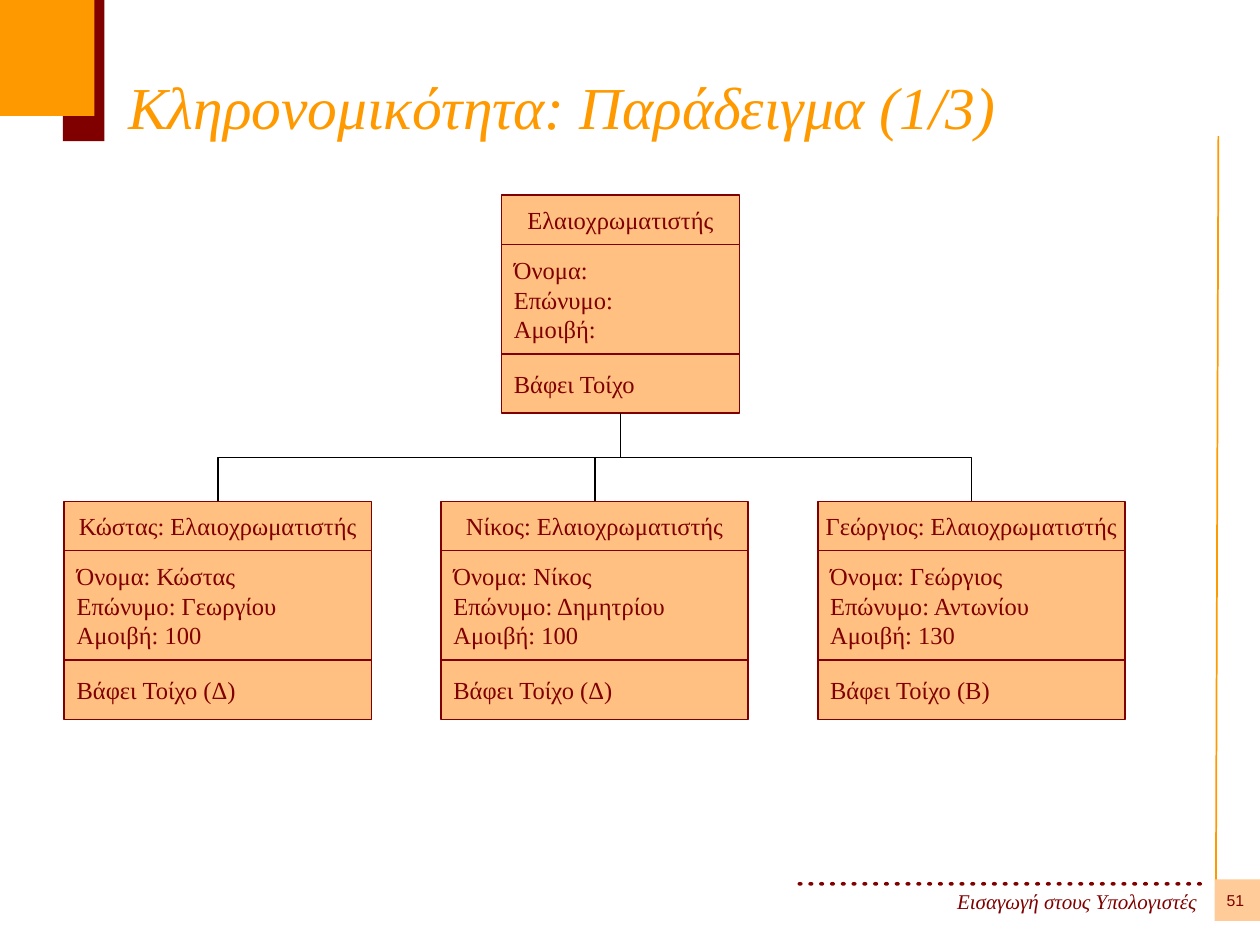
"""Build the inheritance example slide with one class and three objects."""
from itertools import accumulate

from lxml.etree import SubElement
from pptx import Presentation
from pptx.dml.color import RGBColor
from pptx.enum.shapes import MSO_CONNECTOR, MSO_SHAPE
from pptx.enum.text import MSO_ANCHOR, PP_ALIGN
from pptx.oxml.ns import qn
from pptx.util import Inches, Pt

ORANGE = RGBColor(0xFF, 0x99, 0x00)
MAROON = RGBColor(0x80, 0x00, 0x00)
PEACH = RGBColor(0xFF, 0xCC, 0x99)
BOX_FILL = RGBColor(0xFF, 0xC0, 0x81)
BLACK = RGBColor(0, 0, 0)

TITLE = "Κληρονομικότητα: Παράδειγμα (1/3)"
FOOTER = "Εισαγωγή στους Υπολογιστές"
PAGE_NUMBER = "51"
PARENT = ("Ελαιοχρωματιστής", ["Όνομα:", "Επώνυμο:", "Αμοιβή:"], "Βάφει Τοίχο")
CHILDREN = [
    ("Κώστας: Ελαιοχρωματιστής",
     ["Όνομα: Κώστας", "Επώνυμο: Γεωργίου", "Αμοιβή: 100"], "Βάφει Τοίχο (Δ)"),
    ("Νίκος: Ελαιοχρωματιστής",
     ["Όνομα: Νίκος", "Επώνυμο: Δημητρίου", "Αμοιβή: 100"], "Βάφει Τοίχο (Δ)"),
    ("Γεώργιος: Ελαιοχρωματιστής",
     ["Όνομα: Γεώργιος", "Επώνυμο: Αντωνίου", "Αμοιβή: 130"], "Βάφει Τοίχο (Β)"),
]

PARENT_LEFT, PARENT_TOP, PARENT_WIDTH = 3.98, 1.55, 1.89
CHILD_LEFT, CHILD_TOP, CHILD_WIDTH, CHILD_PITCH = 0.51, 3.98, 2.44, 2.99
ROW_HEIGHTS = [0.39, 0.87, 0.47]
DOT_COUNT, DOT_FIRST, DOT_LAST = 38, 6.33, 9.5

BOX_FONT = {"name": "Times New Roman", "size": Pt(14)}
TITLE_FONT = {"name": "Times New Roman", "size": Pt(34), "italic": True}
FOOTER_FONT = {"name": "Times New Roman", "size": Pt(12), "italic": True}
NUMBER_FONT = {"name": "Arial", "size": Pt(9)}


def apply_format(target, values):
    for name, value in values.items():
        setattr(target, name, value)


def write_text(shape, lines, font, color, alignment, frame_format):
    frame = shape.text_frame
    apply_format(frame, frame_format)
    for index, line in enumerate(lines):
        para = frame.add_paragraph() if index else frame.paragraphs[0]
        para.alignment = alignment
        span = para.add_run()
        span.text = line
        apply_format(span.font, font)
        span.font.color.rgb = color


def add_block(page, kind, bounds, fill, outline=None):
    block = page.shapes.add_shape(kind, *map(Inches, bounds))
    block.shadow.inherit = False
    block.fill.solid()
    block.fill.fore_color.rgb = fill
    if outline is None:
        block.line.fill.background()
    else:
        block.line.color.rgb = outline
        block.line.width = Pt(1)
    return block


def add_label(page, bounds, text, font, color, alignment, frame_format):
    label = page.shapes.add_textbox(*map(Inches, bounds))
    write_text(label, [text], font, color, alignment, frame_format)


def style_connector(connector, color):
    connector.line.color.rgb = color
    connector.line.width = Pt(1)
    SubElement(connector._element.spPr, qn("a:effectLst"))


def add_card(page, left, top, width, content):
    heading, attributes, method = content
    rows = [([heading], PP_ALIGN.CENTER), (attributes, PP_ALIGN.LEFT), ([method], PP_ALIGN.LEFT)]
    offsets = accumulate(ROW_HEIGHTS[:-1], initial=0)
    boxes = []
    for (lines, alignment), offset, height in zip(rows, offsets, ROW_HEIGHTS):
        box = add_block(page, MSO_SHAPE.RECTANGLE, (left, top + offset, width, height),
                        BOX_FILL, MAROON)
        write_text(box, lines, BOX_FONT, MAROON, alignment,
                   {"word_wrap": False, "vertical_anchor": MSO_ANCHOR.MIDDLE})
        boxes.append(box)
    return boxes


def join_cards(page, child_box, parent_box):
    start_x = child_box.left + child_box.width // 2
    start_y = child_box.top
    end_x = parent_box.left + parent_box.width // 2
    end_y = parent_box.top + parent_box.height
    connector = page.shapes.add_connector(MSO_CONNECTOR.ELBOW, start_x, start_y, end_x, end_y)
    connector.begin_connect(child_box, 0)
    connector.end_connect(parent_box, 2)
    rise, run = start_y - end_y, abs(end_x - start_x)
    apply_format(connector, {
        "left": (start_x + end_x - rise) // 2, "top": (start_y + end_y - run) // 2,
        "width": rise, "height": run})
    mirrored = start_x > end_x
    transform = connector._element.spPr.find(qn("a:xfrm"))
    transform.set("rot", str((90 if mirrored else 270) * 60000))
    transform.set("flipH", "1" if mirrored else "0")
    transform.set("flipV", "0")
    style_connector(connector, BLACK)


def add_decoration(page):
    rule = page.shapes.add_connector(
        MSO_CONNECTOR.STRAIGHT, Inches(9.65), Inches(7.14), Inches(9.67), Inches(1.08))
    style_connector(rule, ORANGE)
    add_block(page, MSO_SHAPE.RECTANGLE, (0.5, 0, 0.33, 1.12), MAROON)
    add_block(page, MSO_SHAPE.RECTANGLE, (0, 0, 0.75, 0.92), ORANGE)
    pitch = (DOT_LAST - DOT_FIRST) / (DOT_COUNT - 1)
    for index in range(DOT_COUNT):
        add_block(page, MSO_SHAPE.OVAL, (DOT_FIRST + index * pitch, 7, 0.04, 0.03), MAROON)
    add_label(page, (0.75, 7, 8.75, 0.3), FOOTER, FOOTER_FONT, MAROON, PP_ALIGN.RIGHT,
              {"word_wrap": True, "margin_left": 0, "margin_right": 0})
    add_block(page, MSO_SHAPE.RECTANGLE, (9.64, 6.98, 0.36, 0.33), PEACH)
    add_label(page, (9.65, 6.98, 0.31, 0.33), PAGE_NUMBER, NUMBER_FONT, MAROON, PP_ALIGN.CENTER,
              {"word_wrap": False, "vertical_anchor": MSO_ANCHOR.MIDDLE, "margin_left": 0,
               "margin_right": 0, "margin_top": 0, "margin_bottom": 0})


def main():
    deck = Presentation()
    deck.slide_width, deck.slide_height = Inches(10), Inches(7.5)
    page = deck.slides.add_slide(deck.slide_layouts[6])
    add_decoration(page)
    add_label(page, (0.92, 0.5, 8.58, 0.67), TITLE, TITLE_FONT, ORANGE, PP_ALIGN.LEFT,
              {"word_wrap": True, "vertical_anchor": MSO_ANCHOR.BOTTOM})
    parent_boxes = add_card(page, PARENT_LEFT, PARENT_TOP, PARENT_WIDTH, PARENT)
    child_cards = [
        add_card(page, CHILD_LEFT + index * CHILD_PITCH, CHILD_TOP, CHILD_WIDTH, content)
        for index, content in enumerate(CHILDREN)]
    for child_boxes in child_cards:
        join_cards(page, child_boxes[0], parent_boxes[-1])
    deck.save("out.pptx")


if __name__ == "__main__":
    main()
